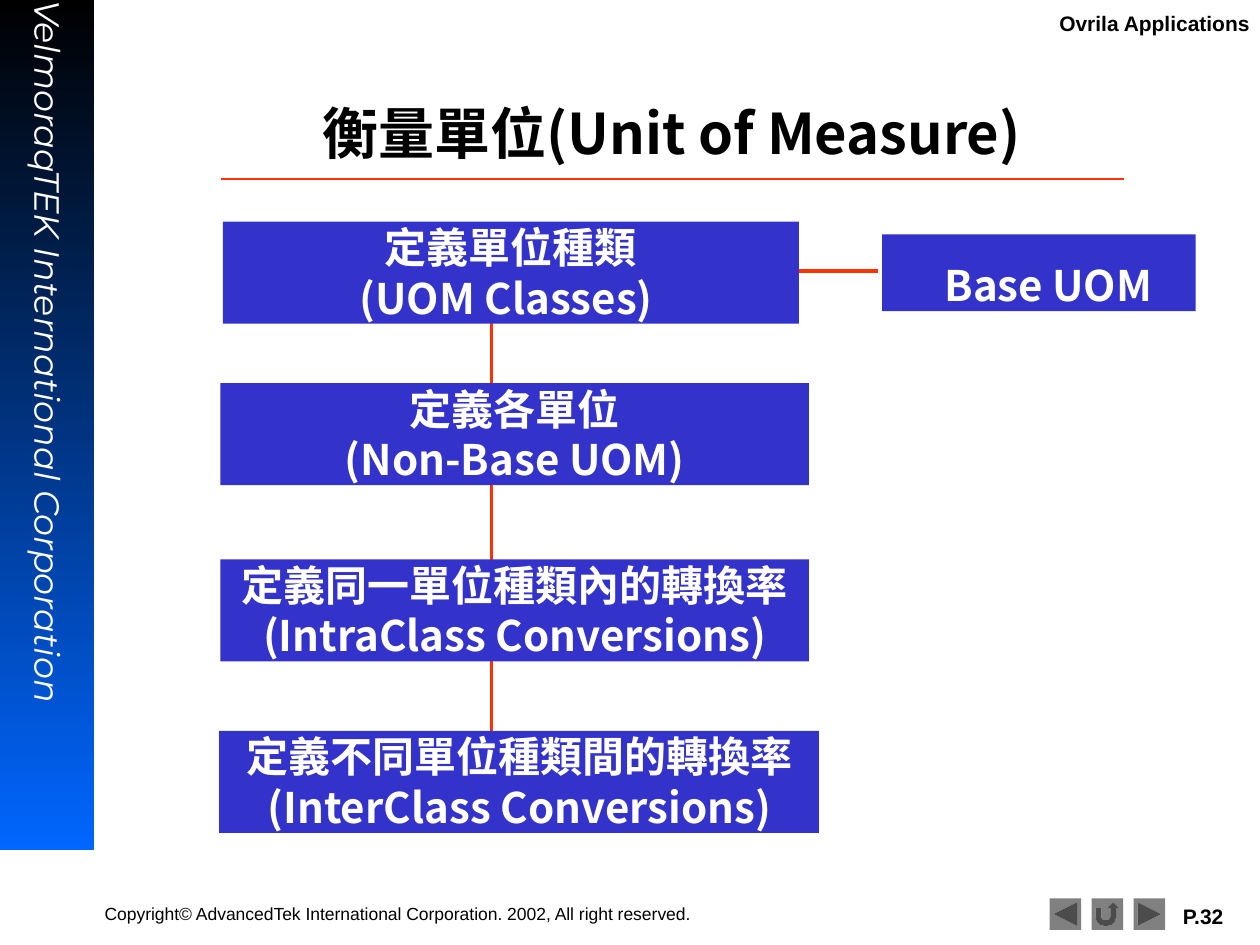
from pptx import Presentation
from pptx.dml.color import RGBColor
from pptx.enum.shapes import MSO_CONNECTOR, MSO_SHAPE as Shape
from pptx.enum.text import MSO_ANCHOR as Anchor, PP_ALIGN as Align
from pptx.oxml.ns import qn
from pptx.util import Inches, Pt
from lxml.etree import SubElement

COLORS = {"black": "000000", "white": "FFFFFF", "line": "FF3300",
          "box": "3333CC", "button": "808080", "sidebar_end": "0066FF"}
CJK_FONT = "Noto Sans CJK SC"
BOX_HEIGHT = 0.81
STEPS = [
    (1.77, 1.76, 4.57, "定義單位種類\n(UOM Classes) "),
    (1.75, 3.04, 4.67, "定義各單位\n(Non-Base UOM)"),
    (1.75, 4.44, 4.67, "定義同一單位種類內的轉換率\n(IntraClass Conversions)"),
    (1.74, 5.8, 4.76, "定義不同單位種類間的轉換率\n(InterClass Conversions)"),
]
BUTTONS = [Shape.ACTION_BUTTON_BACK_OR_PREVIOUS, Shape.ACTION_BUTTON_RETURN,
           Shape.ACTION_BUTTON_FORWARD_OR_NEXT]


def color(name):
    return RGBColor.from_string(COLORS[name])


def write(item, text, size, ink="black", font="Arial", align=Align.LEFT,
          anchor=Anchor.TOP, bold=False, italic=False, wrap=True):
    frame = item.text_frame
    frame.text = text
    frame.word_wrap = wrap
    frame.vertical_anchor = anchor
    frame.margin_left = frame.margin_right = 0
    frame.margin_top = frame.margin_bottom = 0
    for para in frame.paragraphs:
        para.alignment = align
        for span in para.runs:
            span.font.size = Pt(size)
            span.font.bold = bold
            span.font.italic = italic
            span.font.name = font
            span.font.color.rgb = color(ink)
            SubElement(span.font._element, qn("a:ea"), typeface=font)
    return frame


def add_block(page, kind, left, top, width, height, fill):
    block = page.shapes.add_shape(kind, *map(Inches, (left, top, width, height)))
    block.shadow.inherit = False
    block.fill.solid()
    block.fill.fore_color.rgb = color(fill)
    block.line.fill.background()
    return block


def add_line(page, start, end, weight):
    line = page.shapes.add_connector(MSO_CONNECTOR.STRAIGHT,
                                     *map(Inches, (*start, *end)))
    line.line.color.rgb = color("line")
    line.line.width = Pt(weight)
    SubElement(line._element.spPr, qn("a:effectLst"))


def add_label(page, place, text, size, **style):
    label = page.shapes.add_textbox(*map(Inches, place))
    return write(label, text, size, **style)


def add_box(page, left, top, width, height, text):
    box = add_block(page, Shape.RECTANGLE, left, top, width, height, "box")
    return write(box, text, 24, ink="white", font=CJK_FONT,
                 align=Align.CENTER, bold=True)


def add_sidebar(page):
    band = add_block(page, Shape.RECTANGLE, 0, 0, 0.75, 6.75, "black")
    band.fill.gradient()
    band.fill.gradient_angle = 270
    for stop, name in zip(band.fill.gradient_stops, ("black", "sidebar_end")):
        stop.color.rgb = color(name)
    frame = add_label(page, (0.07, 0, 0.53, 6.75),
                      "VelmoraqTEK International Corporation", 20,
                      ink="white", font="Montserrat", italic=True)
    frame.margin_left = frame.margin_right = Inches(0.1)
    frame._txBody.bodyPr.set("vert", "eaVert")


def add_frame(page):
    add_sidebar(page)
    add_line(page, (1.75, 1.42), (8.92, 1.42), 1.5)
    for column, kind in enumerate(BUTTONS):
        add_block(page, kind, 8.33 + column / 3, 7.13, 0.25, 0.25, "button")
    add_label(page, (8.35, 0.08, 1.57, 0.2), "Ovrila Applications", 12,
              align=Align.RIGHT, bold=True, wrap=False)
    add_label(page, (9.26, 7.17, 0.45, 0.2), "P.32", 12,
              align=Align.RIGHT, bold=True, wrap=False)
    add_label(page, (0.83, 7.17, 4.92, 0.17),
              "Copyright© AdvancedTek International Corporation. 2002, "
              "All right reserved.", 10)


def add_title(page, text):
    title = page.shapes.title
    title.left, title.top, title.width, title.height = map(
        Inches, (1.33, 0.67, 8, 0.75))
    write(title, text, 32, font=CJK_FONT, align=Align.CENTER,
          anchor=Anchor.MIDDLE, bold=True)


def main():
    deck = Presentation()
    deck.slide_width, deck.slide_height = Inches(10), Inches(7.5)
    page = deck.slides.add_slide(deck.slide_layouts[5])
    add_frame(page)
    add_title(page, "衡量單位(Unit of Measure)")
    add_line(page, (6.97, 2.15), (6.27, 2.15), 2)
    add_line(page, (3.9, 2.33), (3.9, 6.03), 2)
    for left, top, width, text in STEPS:
        add_box(page, left, top, width, BOX_HEIGHT, text)
    base = add_box(page, 7, 1.86, 2.49, 0.61, "Base UOM")
    base.margin_left = Inches(0.15)
    base.paragraphs[0].line_spacing = 1.5
    deck.save("out.pptx")


if __name__ == "__main__":
    main()
